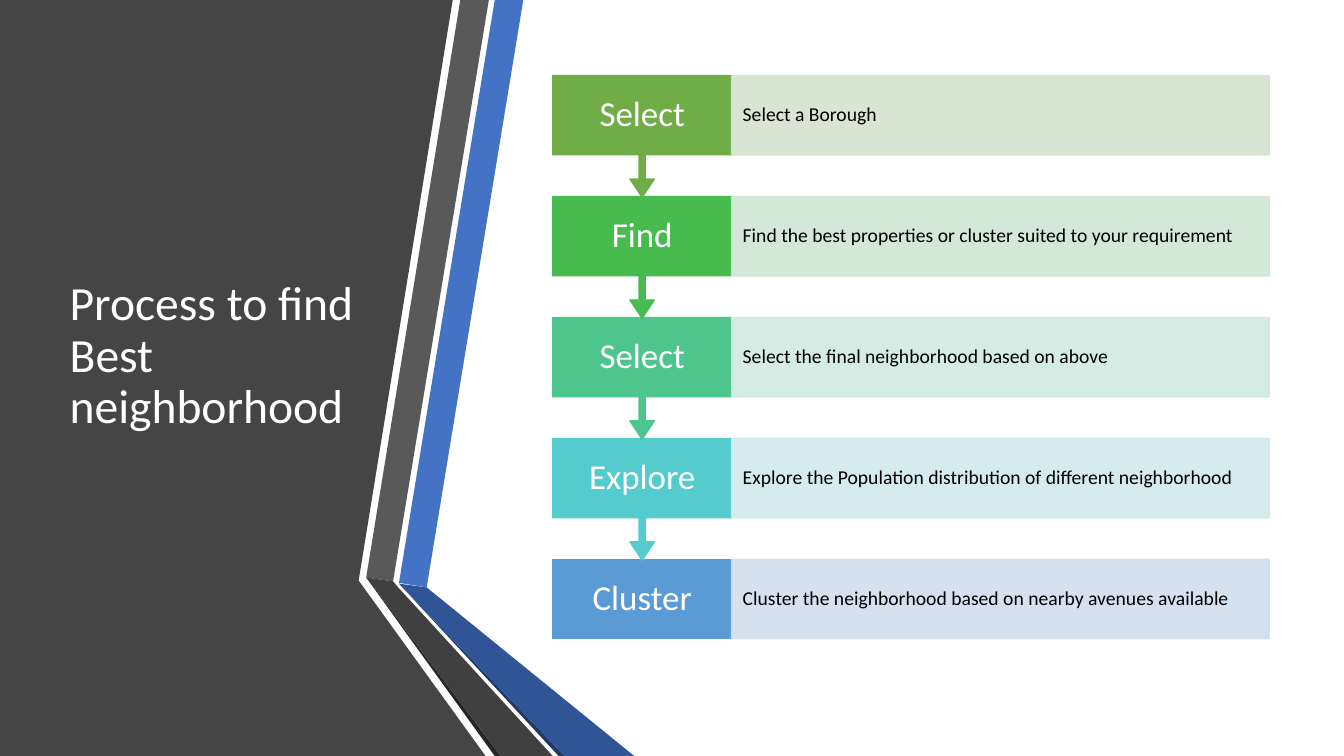
from dataclasses import dataclass

from lxml import etree
from pptx import Presentation
from pptx import util as u
from pptx.dml.color import RGBColor
from pptx.enum import shapes, text
from pptx.oxml import ns


@dataclass(frozen=True)
class Theme:
    font: str = "Calibri"
    white: str = "FFFFFF"
    black: str = "000000"
    panel: str = "454545"
    blue: str = "4472C4"
    grey: str = "595959"
    shade: str = "262626"
    navy: str = "203864"
    deep: str = "2F5597"
    coal: str = "404040"
    title: int = 34
    label: int = 25
    body: int = 14
    edge: int = 1
    alpha: int = 90


@dataclass(frozen=True)
class Band:
    color: str
    points: tuple[tuple[float, float], ...]


@dataclass(frozen=True)
class Step:
    label: str
    detail: str
    color: str
    tint: str


@dataclass(frozen=True)
class Box:
    left: float
    top: float
    width: float
    height: float


THEME = Theme()
WIDTH, HEIGHT = u.Inches(13.33), u.Inches(7.5)
COLS, ROWS = 16, 10
TITLE = Box(0.71, 1, 3.65, 7.44)
LEFT, TOP, PITCH = 6.58, 1, 1.6
LABEL, DETAIL, TALL = 2.13, 6.4, 1.05
CALLOUT = 1.61
ARROW = (0.05, 0.1, 0.15, 0.65)

BANDS = (
    Band(THEME.panel, ((0, 0), (5.39, 0), (4.27, 7.68), (5.78, 10), (0, 10))),
    Band(THEME.blue, ((4.75, 7.71), (5.08, 7.77), (6.23, 0), (5.89, 0))),
    Band(THEME.grey, ((5.82, 0), (5.48, 0), (4.36, 7.64), (4.68, 7.69))),
    Band(THEME.shade, ((4.36, 7.64), (5.89, 10), (5.96, 10))),
    Band(THEME.navy, ((4.75, 7.72), (6.65, 10), (6.72, 10))),
    Band(THEME.deep, ((4.75, 7.72), (6.72, 10), (7.55, 10), (5.08, 7.77))),
    Band(THEME.coal, ((6.58, 10), (4.74, 7.77), (4.68, 7.69), (4.36, 7.64), (5.96, 10))),
)

STEPS = (
    Step("Select", "Select a Borough", "70AD47", "D5E3CF"),
    Step("Find", "Find the best properties or cluster suited to your requirement", "48BB4F", "D0E6D4"),
    Step("Select", "Select the final neighborhood based on above", "4DC58D", "D0EAE1"),
    Step("Explore", "Explore the Population distribution of different neighborhood", "54CCCD", "D1E9ED"),
    Step("Cluster", "Cluster the neighborhood based on nearby avenues available", "5B9BD5", "D2DEEF"),
)


def col(count: float) -> int:
    return round(WIDTH * count / COLS)


def row(count: float) -> int:
    return round(HEIGHT * count / ROWS)


def frame(box: Box) -> tuple[int, int, int, int]:
    return col(box.left), row(box.top), col(box.width), row(box.height)


def paint(shape, color: str) -> None:
    shape.shadow.inherit = False
    shape.fill.solid()
    shape.fill.fore_color.rgb = RGBColor.from_string(color)


def fade(shape) -> None:
    for color in shape.element.spPr.iter(ns.qn("a:srgbClr")):
        alpha = etree.SubElement(color, ns.qn("a:alpha"))
        alpha.set("val", str(THEME.alpha * 1000))


def write(shape, words: str, size: int, color: str, align) -> None:
    body = shape.text_frame
    body.text = words
    body.word_wrap = True
    body.auto_size = text.MSO_AUTO_SIZE.NONE
    body.vertical_anchor = text.MSO_ANCHOR.MIDDLE
    line = body.paragraphs[0]
    line.alignment = align
    line.line_spacing = 0.9
    line.font.name = THEME.font
    line.font.size = u.Pt(size)
    line.font.color.rgb = RGBColor.from_string(color)


def pad(shape, side: float) -> None:
    body = shape.text_frame
    body.margin_left = body.margin_right = u.Inches(side)
    body.margin_top = body.margin_bottom = u.Inches(0.19)


def draw_band(slide, band: Band) -> None:
    points = [(col(x), row(y)) for x, y in band.points]
    outline = slide.shapes.build_freeform(*points[0])
    outline.add_line_segments(points[1:], close=True)
    shape = outline.convert_to_shape()
    paint(shape, band.color)
    shape.line.fill.background()


def draw_block(slide, kind, box: Box, color: str):
    shape = slide.shapes.add_shape(kind, *frame(box))
    paint(shape, color)
    shape.line.color.rgb = RGBColor.from_string(color)
    shape.line.width = u.Pt(THEME.edge)
    return shape


def draw_step(slide, step: Step, index: int) -> None:
    top = TOP + index * PITCH
    kinds = shapes.MSO_SHAPE
    if index == len(STEPS) - 1:
        label = draw_block(slide, kinds.RECTANGLE, Box(LEFT, top, LABEL, TALL), step.color)
    else:
        label = draw_block(slide, kinds.DOWN_ARROW_CALLOUT, Box(LEFT, top, LABEL, CALLOUT), step.color)
        for place, value in enumerate(ARROW):
            label.adjustments[place] = value
    write(label, step.label, THEME.label, THEME.white, text.PP_ALIGN.CENTER)
    pad(label, 0.13)

    detail = draw_block(slide, kinds.RECTANGLE, Box(LEFT + LABEL, top, DETAIL, TALL), step.tint)
    fade(detail)
    write(detail, step.detail, THEME.body, THEME.black, text.PP_ALIGN.LEFT)
    pad(detail, 0.11)


def draw_title(slide) -> None:
    title = slide.shapes.title
    title.left, title.top, title.width, title.height = frame(TITLE)
    write(title, "Process to find Best neighborhood", THEME.title, THEME.white, text.PP_ALIGN.LEFT)
    title.element.getparent().append(title.element)


def main() -> None:
    deck = Presentation()
    deck.slide_width, deck.slide_height = WIDTH, HEIGHT
    slide = deck.slides.add_slide(deck.slide_layouts.get_by_name("Title Only"))
    for band in BANDS:
        draw_band(slide, band)
    draw_title(slide)
    for index, step in reversed(list(enumerate(STEPS))):
        draw_step(slide, step, index)
    deck.save("out.pptx")


if __name__ == "__main__":
    main()
